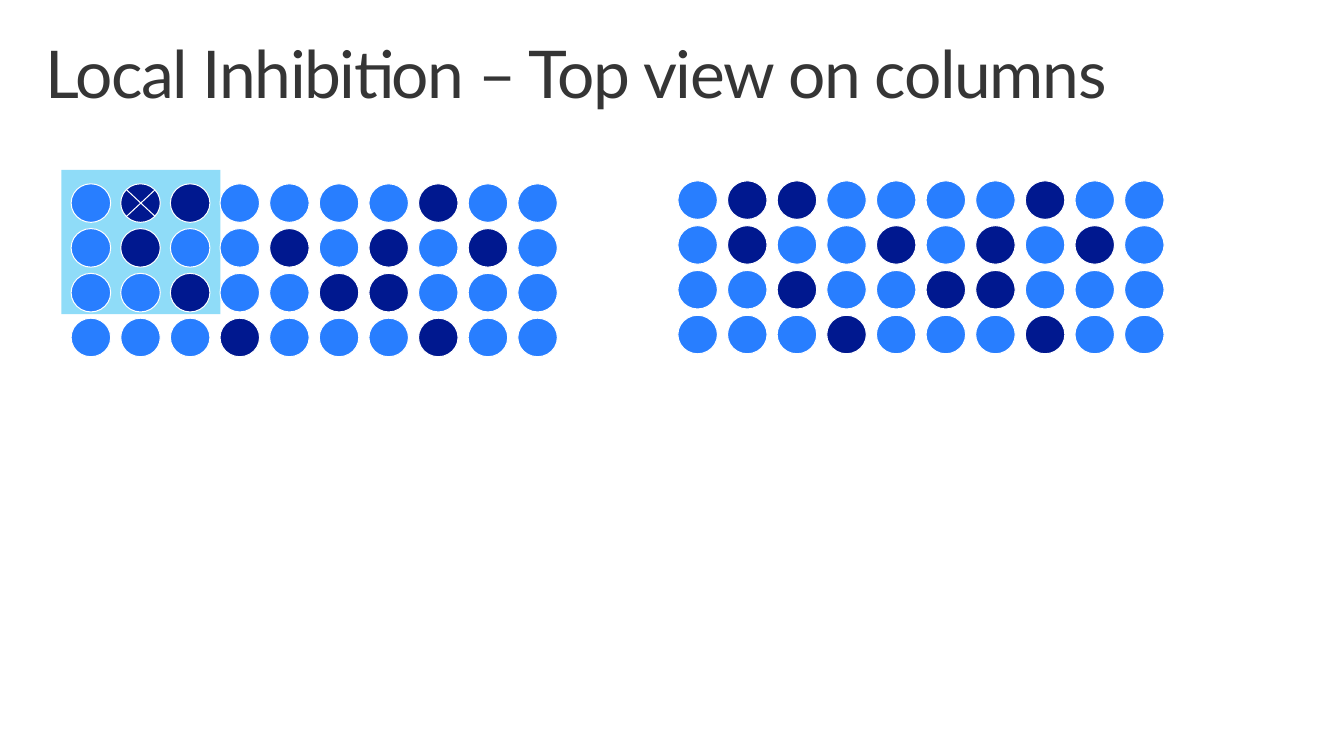
from lxml.etree import SubElement
from pptx import Presentation
from pptx.dml.color import RGBColor
from pptx.enum.shapes import MSO_CONNECTOR as Connector, MSO_SHAPE as Shape
from pptx.enum.text import MSO_ANCHOR as Anchor, MSO_AUTO_SIZE as AutoSize, PP_ALIGN as Align
from pptx.oxml.ns import qn
from pptx.util import Inches, Pt

INK, WHITE = "353535", "FFFFFF"
IDLE, ACTIVE, NEIGHBOURHOOD = "287EFF", "00188F", "00B0F0"

# One character per column of cells: # is active, . is idle
COLUMNS = [
    ".##....#..",
    ".#..#.#.#.",
    "..#..##...",
    "...#...#..",
]
DOT_WIDTH, DOT_HEIGHT = 0.4, 0.39
GRID_WIDTH, GRID_HEIGHT = 4.92, 1.75


def colour(value):
    return RGBColor.from_string(value)


def add_title(page, box, text):
    title = page.shapes.title
    title.left, title.top, title.width, title.height = map(Inches, box)
    frame = title.text_frame
    frame.text = text
    frame.word_wrap = True
    frame.auto_size = AutoSize.NONE
    frame.vertical_anchor = Anchor.TOP
    frame.margin_left = frame.margin_right = Inches(0.16)
    frame.margin_top = frame.margin_bottom = Inches(0.1)
    para = frame.paragraphs[0]
    para.alignment = Align.LEFT
    para.line_spacing = 0.9
    span = para.runs[0]
    span.font.name = "Lato"
    span.font.size = Pt(48)
    span.font.color.rgb = colour(INK)
    span.font._element.set("spc", "-100")


def add_filled(shapes, kind, box, fill):
    shape = shapes.add_shape(kind, *map(Inches, box))
    shape.shadow.inherit = False
    shape.fill.solid()
    shape.fill.fore_color.rgb = colour(fill)
    return shape


def add_column_grid(page, box):
    """Spread the dots evenly over the box, as one group."""
    left, top, width, height = box
    step_x = (width - DOT_WIDTH) / (len(COLUMNS[0]) - 1)
    step_y = (height - DOT_HEIGHT) / (len(COLUMNS) - 1)
    group = page.shapes.add_group_shape()
    for row, states in enumerate(COLUMNS):
        for col, state in enumerate(states):
            place = (left + col * step_x, top + row * step_y, DOT_WIDTH, DOT_HEIGHT)
            dot = add_filled(group.shapes, Shape.OVAL, place,
                             ACTIVE if state == "#" else IDLE)
            dot.line.color.rgb = colour(WHITE)
            dot.line.width = Pt(0.75)


def add_neighbourhood(page, box):
    area = add_filled(page.shapes, Shape.RECTANGLE, box, NEIGHBOURHOOD)
    area.line.fill.background()
    # Let the background show through
    tone = area._element.spPr.find(qn("a:solidFill"))[0]
    SubElement(tone, qn("a:alpha"), val="44000")


def add_cross(page, box):
    left, top, width, height = box
    right, bottom = left + width, top + height
    for start, end in ((left, right), (right, left)):
        line = page.shapes.add_connector(
            Connector.STRAIGHT, *map(Inches, (start, top, end, bottom)))
        line.line.color.rgb = colour(WHITE)
        line.line.width = Pt(0.75)
        SubElement(line._element.spPr, qn("a:effectLst"))


def main():
    deck = Presentation()
    deck.slide_width, deck.slide_height = Inches(13.6), Inches(7.65)
    page = deck.slides.add_slide(deck.slide_layouts[5])

    add_title(page, (0.3, 0.32, 13, 1), "Local Inhibition – Top view on columns")

    # Right: the plain grid
    add_column_grid(page, (6.86, 1.83, GRID_WIDTH, GRID_HEIGHT))

    # Left: the grid with one neighbourhood and its crossed centre
    add_neighbourhood(page, (0.62, 1.72, 1.61, 1.46))
    add_column_grid(page, (0.72, 1.86, GRID_WIDTH, GRID_HEIGHT))
    add_cross(page, (1.28, 1.92, 0.29, 0.27))

    deck.save("out.pptx")


if __name__ == "__main__":
    main()
